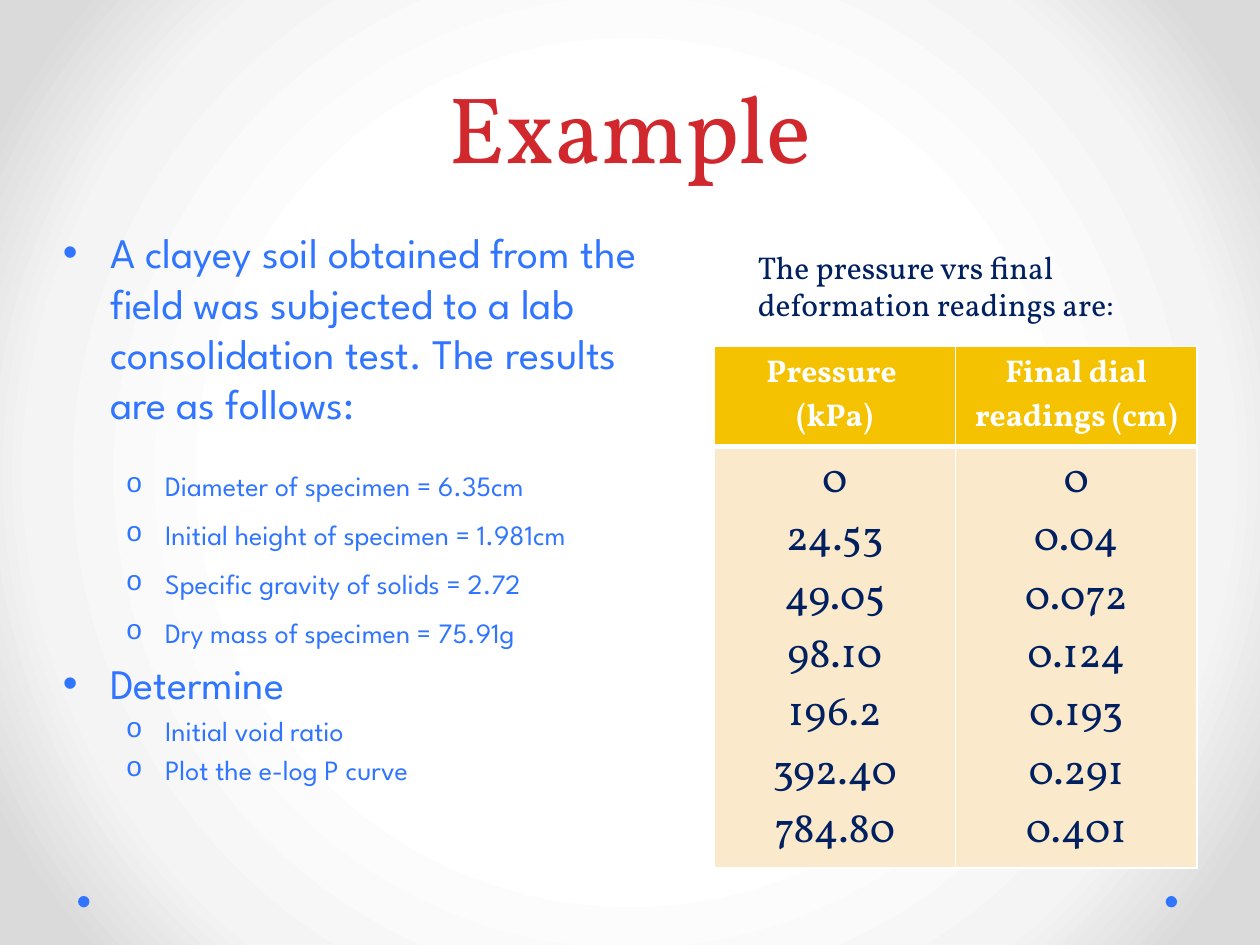
from lxml.etree import SubElement
from pptx import Presentation
from pptx.dml.color import RGBColor
from pptx.enum.shapes import MSO_SHAPE as Shape
from pptx.enum.text import MSO_ANCHOR as Anchor, PP_ALIGN as Align
from pptx.oxml import parse_xml
from pptx.oxml.ns import nsdecls, qn
from pptx.util import Pt

BLUE = RGBColor(0x30, 0x75, 0xFF)
RED = RGBColor(0xD1, 0x28, 0x2E)
NAVY = RGBColor(0x00, 0x20, 0x60)
GOLD = RGBColor(0xF5, 0xC2, 0x01)
CREAM = RGBColor(0xFB, 0xE9, 0xCC)
WHITE = RGBColor(0xFF, 0xFF, 0xFF)
SILVER = RGBColor(0xF4, 0xF4, 0xF4)
GRAY = RGBColor(0xDA, 0xDA, 0xDA)
SERIF, SANS = "Vollkorn", "League Spartan"

LEVELS = [("•", 27, 27, 24), ("o", 58.5, 22.5, 16)]
NOTES = [
    (0, 0, "A clayey soil obtained from the field was subjected to a lab "
           "consolidation test. The results are as follows:"),
    (1, 23, "Diameter of specimen = 6.35cm"),
    (1, 8.8, "Initial height of specimen = 1.981cm"),
    (1, 8.8, "Specific gravity of solids = 2.72"),
    (1, 8.8, "Dry mass of specimen = 75.91g"),
    (0, 4.8, "Determine"),
    (1, 3.2, "Initial void ratio"),
    (1, 3.2, "Plot the e-log P curve"),
]
HEADS = ["Pressure \n(kPa)", "Final dial readings (cm)"]
DATA = [
    ["0", "24.53", "49.05", "98.10", "196.2", "392.40", "784.80"],
    ["0", "0.04", "0.072", "0.124", "0.193", "0.291", "0.401"],
]


def style(para, face, size, color, bold=False):
    """Set the font of every run in a paragraph."""
    for run in para.runs:
        font = run.font
        font.name, font.size, font.bold = face, Pt(size), bold
        font.color.rgb = color


def add_frame(slide, box):
    """Add a wrapping text box and return its frame."""
    frame = slide.shapes.add_textbox(*map(Pt, box)).text_frame
    frame.word_wrap = True
    return frame


def paint_back(slide):
    """Fill the background with a round gradient."""
    slide.background.fill.solid()
    back = slide.element.xpath(".//p:bgPr")[0]
    stops = "".join(
        f'<a:gs pos="{pos}000"><a:srgbClr val="{color}"/></a:gs>'
        for pos, color in [(50, WHITE), (76, SILVER), (92, GRAY)])
    grad = parse_xml(
        f'<a:gradFill {nsdecls("a")} rotWithShape="1"><a:gsLst>{stops}</a:gsLst>'
        '<a:path path="circle"><a:fillToRect l="50000" t="50000" r="50000" '
        'b="50000"/></a:path></a:gradFill>')
    back.replace(back[0], grad)


def add_dots(slide, box):
    """Place a dot at each end of the box."""
    left, top, width, size = box
    for x in (left, left + width - size):
        dot = slide.shapes.add_shape(Shape.OVAL, Pt(x), Pt(top), Pt(size), Pt(size))
        dot.shadow.inherit = False
        dot.fill.solid()
        dot.fill.fore_color.rgb = BLUE
        dot.line.fill.background()


def add_title(slide, box):
    """Place the title at the foot of its box."""
    frame = add_frame(slide, box)
    frame.vertical_anchor = Anchor.BOTTOM
    frame.text = "Example"
    para = frame.paragraphs[0]
    para.alignment, para.line_spacing = Align.CENTER, Pt(58)
    style(para, SERIF, 54, RED)


def add_notes(slide, box):
    """Write the bulleted notes on two levels."""
    frame = add_frame(slide, box)
    frame.text = "\n".join(text for _, _, text in NOTES)
    for para, (level, gap, _) in zip(frame.paragraphs, NOTES):
        mark, left, hang, size = LEVELS[level]
        para.level = level
        props = para._p.get_or_add_pPr()
        props.set("marL", str(Pt(left)))
        props.set("indent", str(-Pt(hang)))
        face = "Courier New" if level else "Arial"
        SubElement(props, qn("a:buFont")).set("typeface", face)
        SubElement(props, qn("a:buChar")).set("char", mark)
        para.space_before = Pt(gap)
        style(para, SANS, size, BLUE)


def add_lead(slide, box):
    """Write the line that leads into the table."""
    frame = add_frame(slide, box)
    frame.text = "The pressure vrs final deformation readings are:"
    style(frame.paragraphs[0], SERIF, 18, NAVY)


def fill_cell(cell, text, size, ink, fill, base, bold):
    """Write, border and fill one table cell."""
    cell.text = text
    for para in cell.text_frame.paragraphs:
        para.alignment = Align.CENTER
        style(para, SERIF, size, ink, bold)
    props = cell._tc.get_or_add_tcPr()
    for side, wide in [("L", 1), ("R", 1), ("T", 1), ("B", base)]:
        props.append(parse_xml(
            f'<a:ln{side} {nsdecls("a")} w="{Pt(wide)}"><a:solidFill>'
            f'<a:srgbClr val="{WHITE}"/></a:solidFill></a:ln{side}>'))
    cell.fill.solid()
    cell.fill.fore_color.rgb = fill


def add_grid(slide, box):
    """Place the table of pressures and readings."""
    table = slide.shapes.add_table(2, 2, *map(Pt, box)).table
    head_tall = 57
    table.rows[0].height = Pt(head_tall)
    table.rows[1].height = Pt(box[3] - head_tall)
    for col, (head, data) in enumerate(zip(HEADS, DATA)):
        table.columns[col].width = Pt(box[2] / 2)
        fill_cell(table.cell(0, col), head, 18, WHITE, GOLD, 3, True)
        fill_cell(table.cell(1, col), "\n".join(data), 24, NAVY, CREAM, 1, False)


def main():
    """Build and save the slide."""
    deck = Presentation()
    deck.slide_width, deck.slide_height = Pt(720), Pt(540)
    slide = deck.slides.add_slide(deck.slide_layouts[6])
    paint_back(slide)
    add_dots(slide, (44.6, 512, 628, 6.5))
    add_title(slide, (36, -18, 648, 126))
    add_grid(slide, (408, 198, 276, 298))
    add_notes(slide, (28.8, 126, 355, 356.4))
    add_lead(slide, (426, 138, 240, 51))
    deck.save("out.pptx")


if __name__ == "__main__":
    main()
